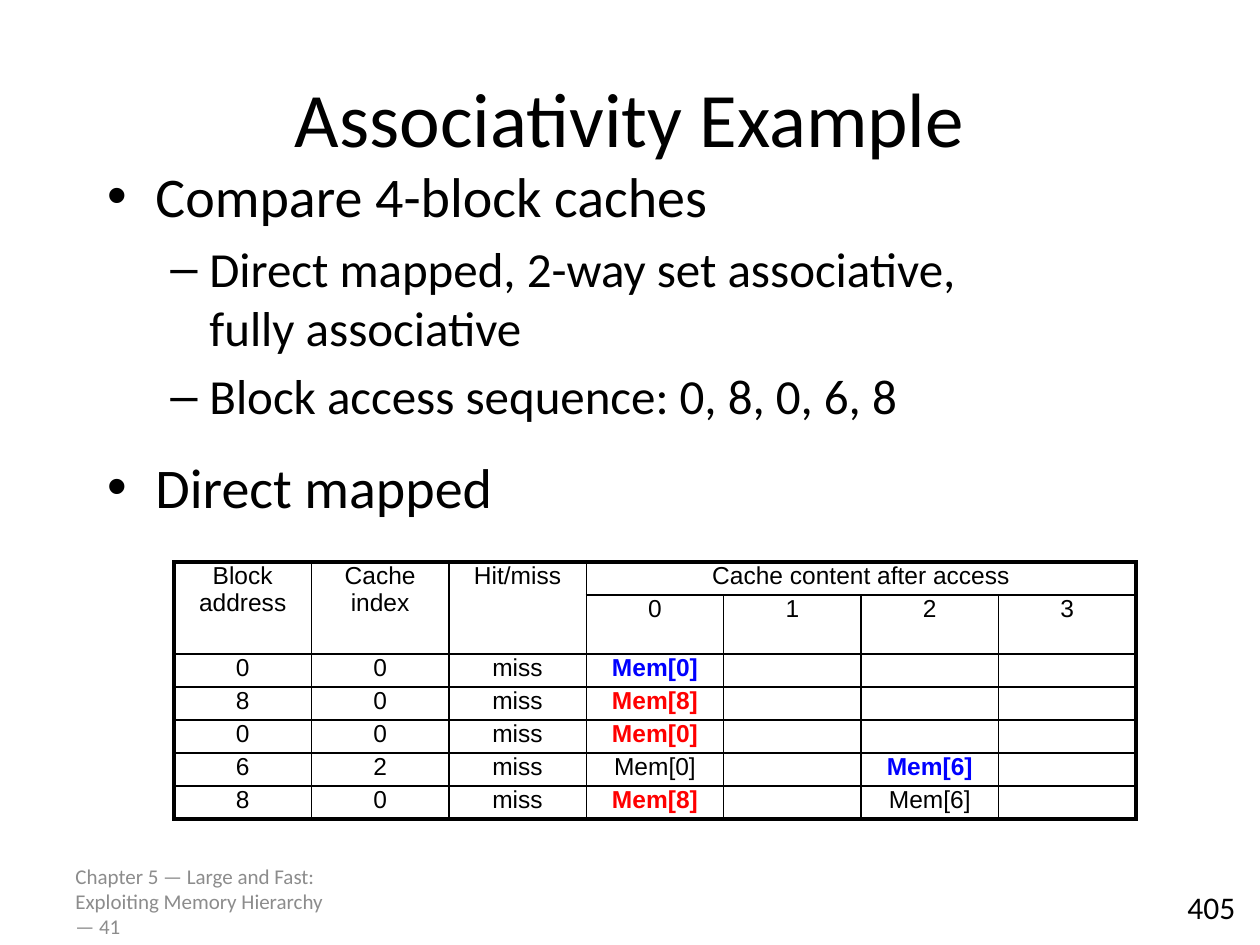
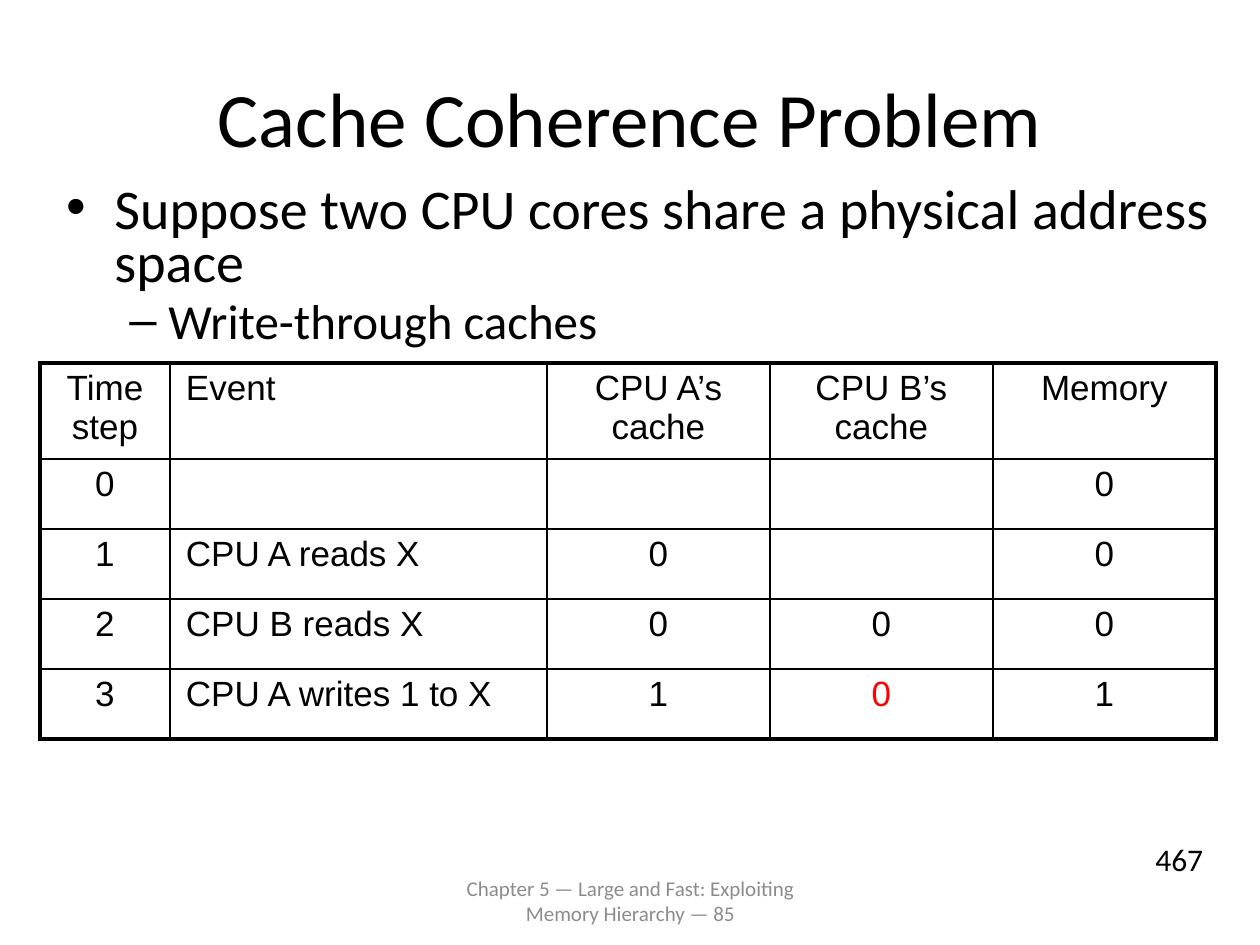
from lxml import etree
from pptx import Presentation
from pptx import util as u
from pptx.dml.color import RGBColor
from pptx.enum import text as t
from pptx.oxml import ns

BLACK = RGBColor(0, 0, 0)
GREY = RGBColor(0x8C, 0x8C, 0x8C)
BLUE = RGBColor(0, 0, 0xFF)
RED = RGBColor(0xFF, 0, 0)
BODY_FONT = "Calibri"
TABLE_FONT = "Arial"

PX_PER_INCH = 126
SLIDE_SIZE = (1260, 945)
TITLE_BOX = (63, 38, 1134, 157)
OUTER_BORDER, INNER_BORDER = 2.25, 1

# Bullet sign, left margin, hanging indent and text size of each level
LEVELS = [("•", 48, 48, 32), ("–", 102, 39, 28)]


def px(length):
    return u.Emu(round(length * 914400 / PX_PER_INCH))


def add_xml(parent, tag, **attributes):
    return etree.SubElement(parent, ns.qn(tag), attributes)


def write(para, words, size, font=BODY_FONT, color=BLACK, bold=False,
          align=t.PP_ALIGN.LEFT, before=0, line=1.0):
    """Fill a paragraph; a vertical tab in the words breaks the line."""
    para.text = words
    para.alignment = align
    para.space_before = u.Pt(before)
    para.line_spacing = line
    for span in para.runs:
        span.font.size = u.Pt(size)
        span.font.name = font
        span.font.bold = bold
        span.font.color.rgb = color
    if not words:  # keeps an empty cell from growing to the default size
        add_xml(para._p, "a:endParaRPr", sz=str(size * 100))


def add_box(page, box, anchor=t.MSO_ANCHOR.TOP, wrap=True):
    frame = page.shapes.add_textbox(*map(px, box)).text_frame
    frame.word_wrap = wrap
    frame.vertical_anchor = anchor
    return frame


def add_title(page, words):
    frame = add_box(page, TITLE_BOX, t.MSO_ANCHOR.MIDDLE)
    write(frame.paragraphs[0], words, 44, align=t.PP_ALIGN.CENTER)


def add_footer(page, box, number, align):
    frame = add_box(page, box, t.MSO_ANCHOR.MIDDLE)
    words = f"Chapter 5 — Large and Fast: Exploiting Memory Hierarchy — {number}"
    write(frame.paragraphs[0], words, 12, color=GREY, align=align)


def add_page_number(page, box, number):
    frame = add_box(page, box, wrap=False)
    write(frame.paragraphs[0], str(number), 18)


def add_bullets(page, box, items, line=1.0):
    """Items are (level, words, space before as a share of the text size)."""
    frame = add_box(page, box)
    for index, (level, words, gap) in enumerate(items):
        para = frame.add_paragraph() if index else frame.paragraphs[0]
        sign, margin, hang, size = LEVELS[level]
        write(para, words, size, before=size * gap * line if index else 0, line=line)
        props = para._p.get_or_add_pPr()
        props.set("marL", str(px(margin)))
        props.set("indent", str(-px(hang)))
        add_xml(props, "a:buFont", typeface="Arial")
        add_xml(props, "a:buChar", char=sign)


def draw_borders(cell, widths):
    """Widths are in points, for the left, right, top and bottom side."""
    props = cell._tc.get_or_add_tcPr()
    for index, (side, width) in enumerate(zip("LRTB", widths)):
        border = etree.Element(ns.qn(f"a:ln{side}"), w=str(u.Pt(width)))
        add_xml(add_xml(border, "a:solidFill"), "a:srgbClr", val=str(BLACK))
        props.insert(index, border)


def add_grid(page, box, rows, columns, heights, size, insets, merges=(),
             left_column=None, marks=None, bold_marks=False):
    """Draw a ruled table; marks maps (row, column) to a text colour."""
    marks = marks or {}
    left, top, width = box
    last_row, last_column = len(rows) - 1, len(columns) - 1
    frame = page.shapes.add_table(len(rows), len(columns), px(left), px(top),
                                  px(width), px(sum(heights)))
    table = frame.table
    table.first_row = table.horz_banding = False
    for column, share in zip(table.columns, columns):
        column.width = px(width * share / sum(columns))
    for row, height in zip(table.rows, heights):
        row.height = px(height)
    for start, end in merges:
        table.cell(*start).merge(table.cell(*end))

    for r, row in enumerate(rows):
        for c, words in enumerate(row):
            cell = table.cell(r, c)
            cell.margin_left = cell.margin_right = px(insets[0])
            cell.margin_top = cell.margin_bottom = px(insets[1])
            cell.fill.background()
            align = t.PP_ALIGN.LEFT if c == left_column else t.PP_ALIGN.CENTER
            write(cell.text_frame.paragraphs[0], words, size, font=TABLE_FONT,
                  color=marks.get((r, c), BLACK), align=align,
                  bold=bold_marks and (r, c) in marks)
            if not cell.is_spanned:
                edges = (c == 0, c + cell.span_width > last_column,
                         r == 0, r + cell.span_height > last_row)
                draw_borders(cell, [OUTER_BORDER if edge else INNER_BORDER
                                    for edge in edges])


def build_associativity(page):
    add_footer(page, (63, 876, 294, 50), 41, t.PP_ALIGN.LEFT)
    add_title(page, "Associativity Example")
    add_bullets(page, (95, 155, 1140, 387), [
        (0, "Compare 4-block caches", 0),
        (1, "Direct mapped, 2-way set associative,\vfully associative", 0.2),
        (1, "Block access sequence: 0, 8, 0, 6, 8", 0.2),
        (0, "Direct mapped", 0.5),
    ])
    rows = [
        ["Block address", "Cache index", "Hit/miss",
         "Cache content after access", "", "", ""],
        ["", "", "", "0", "1", "2", "3"],
        ["0", "0", "miss", "Mem[0]", "", "", ""],
        ["8", "0", "miss", "Mem[8]", "", "", ""],
        ["0", "0", "miss", "Mem[0]", "", "", ""],
        ["6", "2", "miss", "Mem[0]", "", "Mem[6]", ""],
        ["8", "0", "miss", "Mem[8]", "", "Mem[6]", ""],
    ]
    merges = [((0, c), (1, c)) for c in range(3)] + [((0, 3), (0, 6))]
    marks = {(2, 3): BLUE, (3, 3): RED, (4, 3): RED, (5, 5): BLUE, (6, 3): RED}
    add_grid(page, (174, 562, 962), rows, [1] * 7, [33, 54] + [33] * 5, 14,
             (13, 0), merges=merges, marks=marks, bold_marks=True)
    add_page_number(page, (1175, 882, 74, 50), 405)


def build_coherence(page):
    add_title(page, "Cache Coherence Problem")
    add_bullets(page, (54, 180, 1178, 188), [
        (0, "Suppose two CPU cores share a physical address space", 0),
        (1, "Write-through caches", 0.2),
    ], line=0.8)
    add_footer(page, (431, 876, 399, 50), 85, t.PP_ALIGN.CENTER)
    rows = [
        ["Time step", "Event", "CPU A’s cache", "CPU B’s cache", "Memory"],
        ["0", "", "", "", "0"],
        ["1", "CPU A reads X", "0", "", "0"],
        ["2", "CPU B reads X", "0", "0", "0"],
        ["3", "CPU A writes 1 to X", "1", "0", "1"],
    ]
    add_grid(page, (40, 363, 1176), rows, [130, 377, 223, 223, 223],
             [91] + [70] * 4, 20, (16, 6), left_column=1, marks={(4, 3): RED})
    add_page_number(page, (1143, 834, 74, 50), 467)


def main():
    deck = Presentation()
    deck.slide_width, deck.slide_height = map(px, SLIDE_SIZE)
    for build in (build_associativity, build_coherence):
        build(deck.slides.add_slide(deck.slide_layouts[6]))
    deck.save("out.pptx")


if __name__ == "__main__":
    main()
